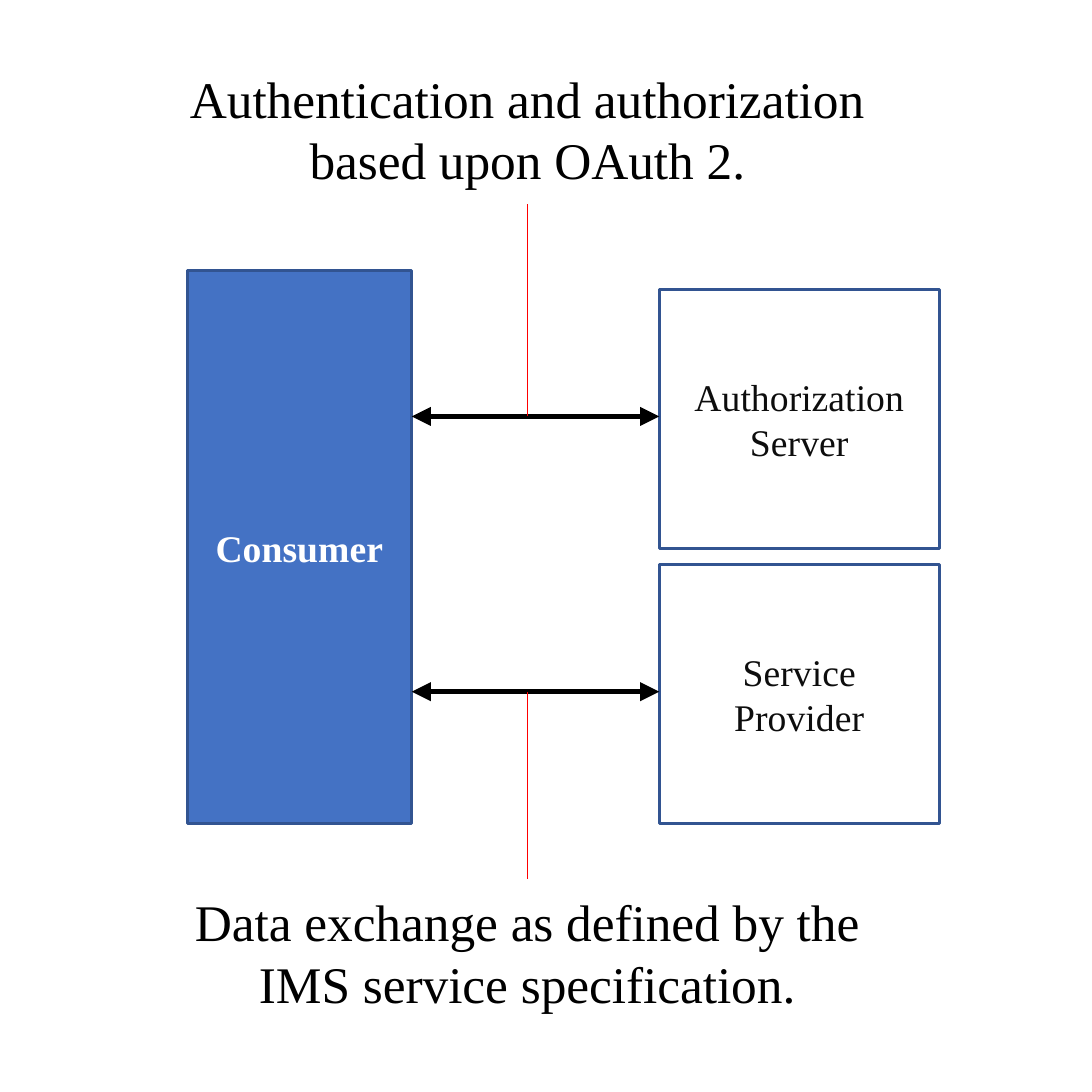
from pptx import Presentation
from pptx.dml.color import RGBColor
from pptx.enum.shapes import MSO_CONNECTOR, MSO_SHAPE
from pptx.enum.text import MSO_ANCHOR, PP_ALIGN
from pptx.oxml.ns import qn
from pptx.util import Inches, Pt
from lxml.etree import SubElement

BLACK = RGBColor(0x00, 0x00, 0x00)
INK = RGBColor(0x0D, 0x0D, 0x0D)
WHITE = RGBColor(0xFF, 0xFF, 0xFF)
BLUE = RGBColor(0x44, 0x72, 0xC4)
NAVY = RGBColor(0x32, 0x54, 0x91)
RED = RGBColor(0xFF, 0x00, 0x00)

# Slide and grid, in inches
SIDE = 4.72
CONSUMER_LEFT, CONSUMER_RIGHT = 0.81, 1.78
SERVER_LEFT, SERVER_WIDTH = 2.85, 1.21
FIRST_ROW, ROW_STEP, ROW_HEIGHT = 1.25, 1.19, 1.12
CONSUMER_TOP = 1.17
BOTTOM = FIRST_ROW + ROW_STEP + ROW_HEIGHT
CALLOUT_X = 2.28
NOTE_WIDTH, NOTE_HEIGHT = 3.36, 0.64

deck = Presentation()
deck.slide_width = deck.slide_height = Inches(SIDE)
slide = deck.slides.add_slide(deck.slide_layouts[6])


def write(holder, text, size=11.7, color=INK, bold=False, anchor=MSO_ANCHOR.MIDDLE):
    frame = holder.text_frame
    frame.word_wrap = True
    frame.vertical_anchor = anchor
    frame.text = text
    for paragraph in frame.paragraphs:
        paragraph.alignment = PP_ALIGN.CENTER
        font = paragraph.runs[0].font
        font.name, font.size, font.bold = "Times New Roman", Pt(size), bold
        font.color.rgb = color


def connect(start, end, color, width):
    link = slide.shapes.add_connector(
        MSO_CONNECTOR.STRAIGHT, *(Inches(value) for value in start + end))
    link.line.color.rgb = color
    link.line.width = Pt(width)
    SubElement(link._element.spPr, qn("a:effectLst"))
    return link


# Consumer and the two servers
server_top, provider_top = FIRST_ROW, FIRST_ROW + ROW_STEP
for text, left, top, width, height, fill, color, bold in (
    ("Consumer", CONSUMER_LEFT, CONSUMER_TOP, CONSUMER_RIGHT - CONSUMER_LEFT,
     BOTTOM - CONSUMER_TOP, BLUE, WHITE, True),
    ("Authorization\nServer", SERVER_LEFT, server_top, SERVER_WIDTH, ROW_HEIGHT, WHITE, INK, False),
    ("Service\nProvider", SERVER_LEFT, provider_top, SERVER_WIDTH, ROW_HEIGHT, WHITE, INK, False),
):
    party = slide.shapes.add_shape(
        MSO_SHAPE.RECTANGLE, *(Inches(value) for value in (left, top, width, height)))
    party.shadow.inherit = False
    party.fill.solid()
    party.fill.fore_color.rgb = fill
    party.line.color.rgb = NAVY
    party.line.width = Pt(1)
    write(party, text, color=color, bold=bold)

# Exchanges, each with its callout line and note
for row, (text, note_top, callout_end) in enumerate((
    ("Authentication and authorization based upon OAuth 2.", 0.24, 0.24 + NOTE_HEIGHT),
    ("Data exchange as defined by the IMS service specification.", 3.8, 3.8),
)):
    exchange_y = 1.8 + row * ROW_STEP
    exchange = connect((CONSUMER_RIGHT, exchange_y), (SERVER_LEFT, exchange_y), BLACK, 1.5)
    for end in ("a:headEnd", "a:tailEnd"):
        SubElement(exchange.line._get_or_add_ln(), qn(end), type="triangle")
    connect((CALLOUT_X, exchange_y), (CALLOUT_X, callout_end), RED, 0.5)
    note = slide.shapes.add_textbox(
        Inches(CALLOUT_X - NOTE_WIDTH / 2), Inches(note_top),
        Inches(NOTE_WIDTH), Inches(NOTE_HEIGHT))
    write(note, text, size=16, color=BLACK, anchor=MSO_ANCHOR.TOP)

deck.save("out.pptx")
